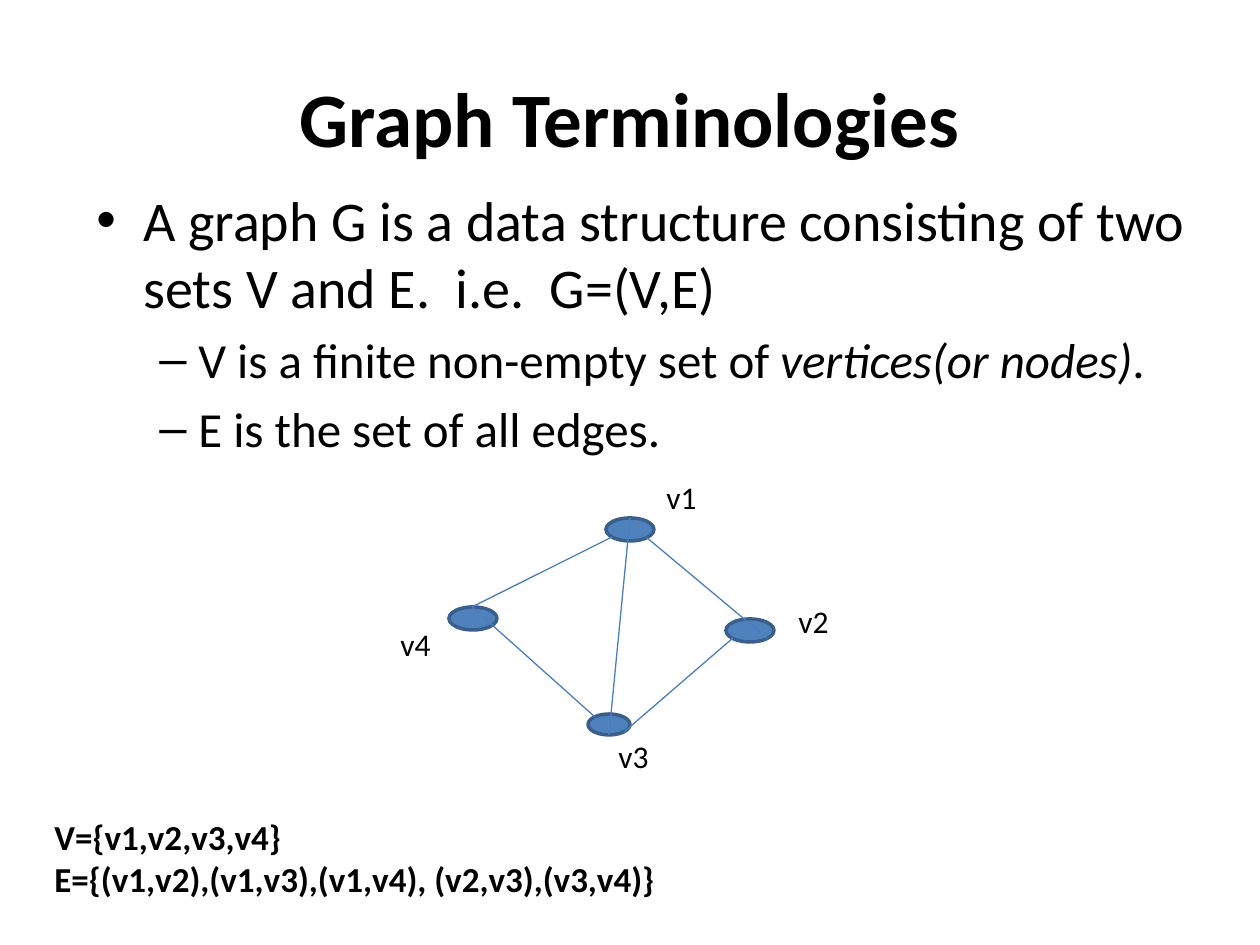
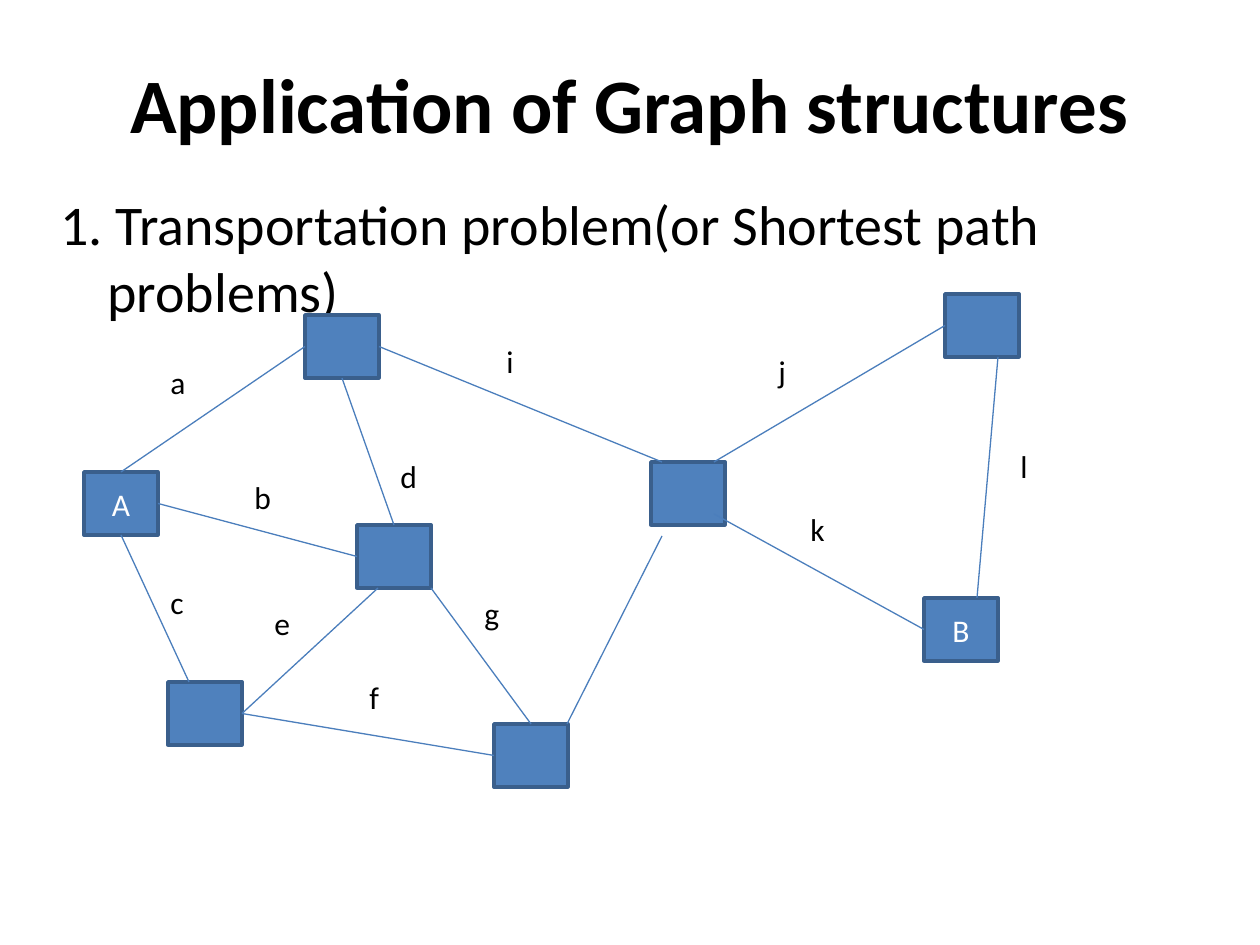
from dataclasses import dataclass
from lxml.etree import SubElement
from pptx import Presentation
from pptx.dml.color import RGBColor
from pptx.enum.shapes import MSO_CONNECTOR, MSO_SHAPE
from pptx.enum.text import MSO_ANCHOR, PP_ALIGN
from pptx.oxml.ns import qn
from pptx.util import Emu, Pt


@dataclass(frozen=True)
class Theme:
    font: str = "Calibri"
    ink: str = "000000"
    paper: str = "FFFFFF"
    node: str = "4F81BD"
    outline: str = "3A5F8C"
    edge: str = "4B7EBC"
    title: int = 44
    body: int = 32
    detail: int = 28
    sets: int = 20
    label: int = 18


THEME = Theme()
PX_PER_INCH = 126
TOP, LEFT, BOTTOM, RIGHT = range(4)

TERMS = {
    "title": "Graph Terminologies",
    "title_at": (63, 38, 1134, 157),
    "body_at": (84, 179, 1134, 598),
    "body": [
        ("•", ["A graph G is a data structure consisting of two sets V and E.  i.e.  G=(V,E)"]),
        ("–", ["V is a finite non-empty set of ", "vertices(or nodes)", "."]),
        ("–", ["E is the set of all edges."]),
    ],
    "node_shape": MSO_SHAPE.OVAL,
    "nodes": {
        "v1": (606, 518, 48, 23),
        "v2": (726, 619, 48, 23),
        "v3": (588, 714, 42, 21),
        "v4": (449, 607, 48, 23),
    },
    "captions": {},
    "edges": [
        ((472, 607), (595, 717)),
        ((472, 607), (612, 537)),
        ((767, 638), (646, 537)),
        ((630, 518), (609, 735)),
        ((624, 732), (733, 638)),
    ],
    "label_size": (64, 54),
    "labels": {"v1": (654, 472), "v2": (786, 596), "v3": (606, 731), "v4": (388, 619)},
}
SETS_AT = (42, 809, 1155, 97)
SETS = ["V={v1,v2,v3,v4}", "E={(v1,v2),(v1,v3),(v1,v4), (v2,v3),(v3,v4)}"]

ROUTES = {
    "title": "Application of Graph structures",
    "title_at": (63, 38, 1134, 130),
    "body_at": (48, 183, 1182, 746),
    "body": [("", ["1. Transportation problem(or Shortest path problems)"])],
    "node_shape": MSO_SHAPE.RECTANGLE,
    "nodes": {
        name: (left, top, 74, 63)
        for name, left, top in [
            ("start", 84, 472), ("south west", 168, 682), ("middle", 357, 525),
            ("north", 305, 315), ("south", 494, 724), ("hub", 651, 462),
            ("finish", 924, 598), ("north east", 945, 294),
        ]
    },
    "captions": {"start": "A", "finish": "B"},
    "edges": [
        (("start", BOTTOM), (189, 682)),
        (("start", TOP), ("north", LEFT)),
        (("north", BOTTOM), ("middle", TOP)),
        (("south west", RIGHT), (378, 588)),
        ((431, 588), ("south", TOP)),
        (("south west", RIGHT), ("south", LEFT)),
        (("north", RIGHT), (662, 462)),
        ((567, 724), (662, 536)),
        ((714, 514), ("finish", LEFT)),
        ((714, 462), ("north east", LEFT)),
        ((998, 357), (977, 598)),
        (("start", RIGHT), ("middle", LEFT)),
    ],
    "label_size": (53, 50),
    "labels": {
        "a": (158, 357), "b": (242, 472), "c": (158, 577), "d": (388, 451),
        "e": (262, 598), "f": (357, 672), "g": (472, 588), "i": (494, 336),
        "j": (766, 346), "k": (798, 504), "l": (1008, 441),
    },
}


def px(*lengths):
    return [Emu(round(length * 914400 / PX_PER_INCH)) for length in lengths]


def style(font, size, color=THEME.ink, bold=False, italic=False):
    font.name = THEME.font
    font.size = Pt(size)
    font.bold = bold
    font.italic = italic
    font.color.rgb = RGBColor.from_string(color)


def add_text(page, at, lines, size, bold=False, centred=False):
    box = page.shapes.add_textbox(*px(*at))
    frame = box.text_frame
    frame.word_wrap = True
    frame.text = "\n".join(lines)
    if centred:
        frame.vertical_anchor = MSO_ANCHOR.MIDDLE
    for para in frame.paragraphs:
        para.alignment = PP_ALIGN.CENTER if centred else PP_ALIGN.LEFT
        for span in para.runs:
            style(span.font, size, bold=bold)


def add_body(page, at, items):
    frame = page.shapes.add_textbox(*px(*at)).text_frame
    frame.word_wrap = True
    for index, (bullet, pieces) in enumerate(items):
        para = frame.add_paragraph() if index else frame.paragraphs[0]
        nested = bullet == "–"
        size = THEME.detail if nested else THEME.body
        margin, hang = px(102, 39) if nested else px(47, 47)
        if index:
            para.space_before = Pt(size * 0.2)
        properties = para._p.get_or_add_pPr()
        properties.set("marL", str(margin))
        properties.set("indent", str(-hang))
        if bullet:
            SubElement(properties, qn("a:buFont")).set("typeface", "Arial")
            SubElement(properties, qn("a:buChar")).set("char", bullet)
        for position, piece in enumerate(pieces):
            span = para.add_run()
            span.text = piece
            style(span.font, size, italic=position == 1)


def add_node(page, shape_kind, at, caption):
    node = page.shapes.add_shape(shape_kind, *px(*at))
    node.shadow.inherit = False
    node.fill.solid()
    node.fill.fore_color.rgb = RGBColor.from_string(THEME.node)
    node.line.color.rgb = RGBColor.from_string(THEME.outline)
    node.line.width = Pt(2)
    if caption:
        node.text_frame.text = caption
        node.text_frame.vertical_anchor = MSO_ANCHOR.MIDDLE
        para = node.text_frame.paragraphs[0]
        para.alignment = PP_ALIGN.CENTER
        style(para.runs[0].font, THEME.label, THEME.paper)
    return node


def add_edge(page, nodes, start, end):
    points = [(0, 0) if finish[0] in nodes else finish for finish in (start, end)]
    edge = page.shapes.add_connector(MSO_CONNECTOR.STRAIGHT, *px(*points[0], *points[1]))
    for finish, connect in ((start, edge.begin_connect), (end, edge.end_connect)):
        if finish[0] in nodes:
            connect(nodes[finish[0]], finish[1])
    edge.line.color.rgb = RGBColor.from_string(THEME.edge)
    edge.line.width = Pt(0.75)
    SubElement(edge._element.spPr, qn("a:effectLst"))


def add_graph_page(deck, content):
    page = deck.slides.add_slide(deck.slide_layouts[6])
    add_text(page, content["title_at"], [content["title"]], THEME.title, True, True)
    add_body(page, content["body_at"], content["body"])
    nodes = {
        name: add_node(page, content["node_shape"], at, content["captions"].get(name))
        for name, at in content["nodes"].items()
    }
    for start, end in content["edges"]:
        add_edge(page, nodes, start, end)
    for label, corner in content["labels"].items():
        add_text(page, corner + content["label_size"], [label], THEME.label)
    return page


def main():
    deck = Presentation()
    deck.slide_width, deck.slide_height = px(1260, 945)
    terms_page = add_graph_page(deck, TERMS)
    add_text(terms_page, SETS_AT, SETS, THEME.sets, bold=True)
    add_graph_page(deck, ROUTES)
    deck.save("out.pptx")


if __name__ == "__main__":
    main()
